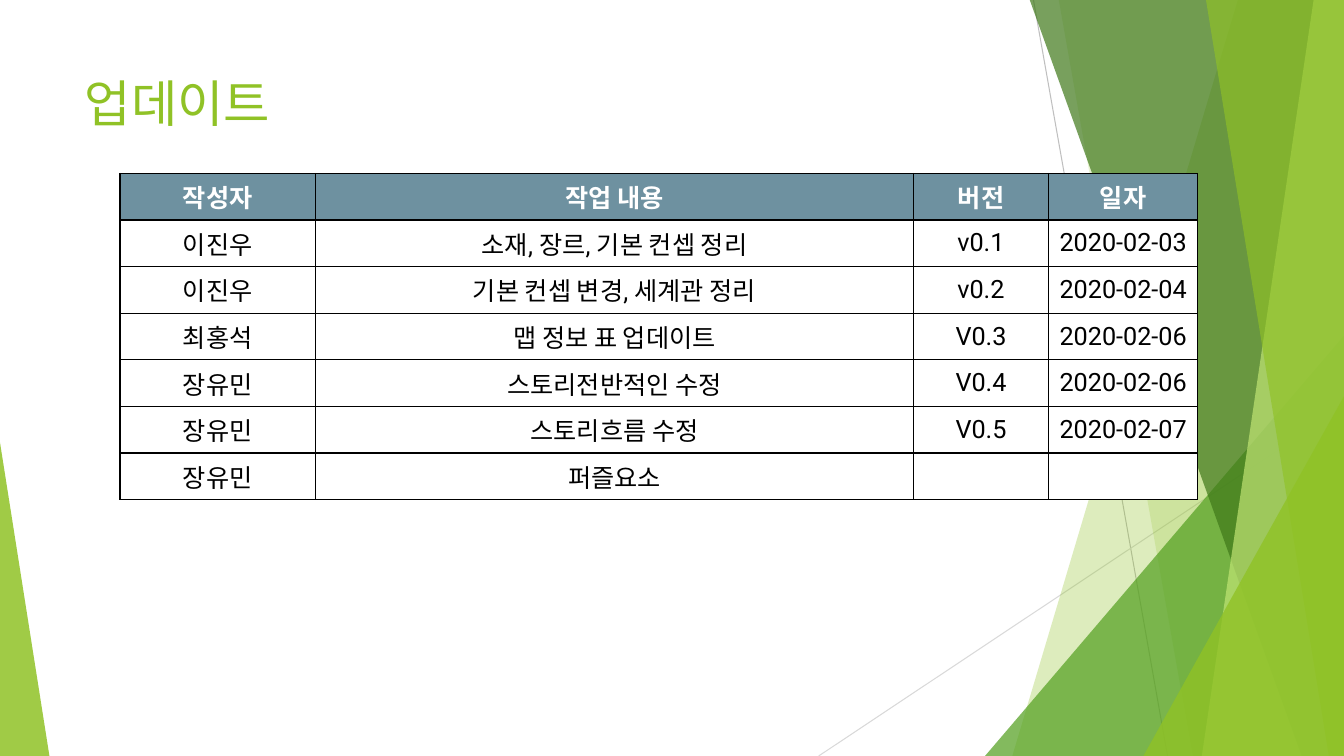
import lxml.etree
import pptx
import pptx.dml.color
import pptx.enum.shapes
import pptx.enum.text
import pptx.oxml.ns
import pptx.util

Inches = pptx.util.Inches
Pt = pptx.util.Pt
RGBColor = pptx.dml.color.RGBColor
qn = pptx.oxml.ns.qn

GREEN = RGBColor(0x90, 0xC2, 0x26)
LEAF = RGBColor(0x54, 0xA0, 0x21)
FOREST = RGBColor(0x3F, 0x78, 0x19)
LIME = RGBColor(0xC0, 0xE4, 0x74)
SLATE = RGBColor(0x6E, 0x91, 0xA0)
SILVER = RGBColor(0xBF, 0xBF, 0xBF)
MIST = RGBColor(0xD9, 0xD9, 0xD9)
WHITE = RGBColor(0xFF, 0xFF, 0xFF)
BLACK = RGBColor(0x00, 0x00, 0x00)

WIDTH = 13.33
HEIGHT = 7.5
TOP = -0.01
TITLE_FORMAT = {"name": "Roboto", "size": Pt(36), "bold": False}
HEADER_FORMAT = {"name": "Roboto", "size": Pt(18), "bold": True}
BODY_FORMAT = {**HEADER_FORMAT, "bold": False}

RAYS = [
    ((10.25, 0), (11.58, HEIGHT), SILVER),
    ((WIDTH, 4.03), (8.12, HEIGHT), MIST),
]
BACK_BANDS = [(12.28, 10.04, GREEN, 30), (10.5, 11.83, GREEN, 20)]
FRONT_BANDS = [
    (10.21, 12.91, FOREST, 70),
    (13.03, 11.92, LIME, 70),
    (11.96, 13.18, GREEN, 65),
]
COLUMN_WIDTHS = [1.94, 5.93, 1.34, 1.48]
ROW_HEIGHT = 0.41
UPDATES = [
    ["작성자", "작업 내용", "버전", "일자"],
    ["이진우", "소재, 장르, 기본 컨셉 정리", "v0.1", "2020-02-03"],
    ["이진우", "기본 컨셉 변경, 세계관 정리", "v0.2", "2020-02-04"],
    ["최홍석", "맵 정보 표 업데이트", "V0.3", "2020-02-06"],
    ["장유민", "스토리전반적인 수정", "V0.4", "2020-02-06"],
    ["장유민", "스토리흐름 수정", "V0.5", "2020-02-07"],
    ["장유민", "퍼즐요소", "", ""],
]


def format_font(font, values, color):
    for name, value in values.items():
        setattr(font, name, value)
    font.color.rgb = color


def paint(shape, color, opacity):
    shape.shadow.inherit = False
    shape.line.fill.background()
    shape.fill.solid()
    shape.fill.fore_color.rgb = color
    color_element = shape.fill._xPr.find(qn("a:solidFill"))[0]
    lxml.etree.SubElement(color_element, qn("a:alpha"), val=str(opacity * 1000))


def add_ray(slide, start, end, color):
    points = [Inches(value) for value in (*start, *end)]
    connector = slide.shapes.add_connector(
        pptx.enum.shapes.MSO_CONNECTOR.STRAIGHT, *points)
    connector.line.color.rgb = color
    connector.line.width = Pt(0.75)
    lxml.etree.SubElement(connector._element.spPr, qn("a:effectLst"))


def add_band(slide, top_left, bottom_left, color, opacity):
    builder = slide.shapes.build_freeform(Inches(top_left), Inches(TOP))
    corners = [(WIDTH, TOP), (WIDTH, HEIGHT), (bottom_left, HEIGHT)]
    builder.add_line_segments([(Inches(x), Inches(y)) for x, y in corners])
    paint(builder.convert_to_shape(), color, opacity)


def add_corner(slide, left, top, right, apex, color, opacity):
    shape = slide.shapes.add_shape(
        pptx.enum.shapes.MSO_SHAPE.ISOSCELES_TRIANGLE, Inches(left), Inches(top),
        Inches(right - left), Inches(HEIGHT - top))
    shape.adjustments[0] = apex
    paint(shape, color, opacity)


def add_decoration(slide):
    for ray in RAYS:
        add_ray(slide, *ray)
    for band in BACK_BANDS:
        add_band(slide, *band)
    add_corner(slide, 9.77, 3.33, WIDTH, 1, LEAF, 72)
    for band in FRONT_BANDS:
        add_band(slide, *band)
    add_corner(slide, 11.34, 3.93, WIDTH, 1, GREEN, 80)
    add_corner(slide, 0, 4.39, 0.49, 0, GREEN, 85)


def set_title(slide, text):
    title = slide.shapes.title
    box = {"left": 0.74, "top": 0.67, "width": 9.4, "height": 1.44}
    for name, value in box.items():
        setattr(title, name, Inches(value))
    title.text_frame.text = text
    title.text_frame.vertical_anchor = pptx.enum.text.MSO_ANCHOR.TOP
    paragraph = title.text_frame.paragraphs[0]
    paragraph.alignment = pptx.enum.text.PP_ALIGN.LEFT
    format_font(paragraph.runs[0].font, TITLE_FORMAT, GREEN)


def add_borders(cell):
    properties = cell._tc.get_or_add_tcPr()
    for position, side in enumerate(("lnL", "lnR", "lnT", "lnB")):
        line = lxml.etree.Element(qn(f"a:{side}"), w=str(Pt(1)))
        fill = lxml.etree.SubElement(line, qn("a:solidFill"))
        lxml.etree.SubElement(fill, qn("a:srgbClr"), val=str(BLACK))
        properties.insert(position, line)


def fill_cell(cell, text, values, text_color, fill_color):
    cell.text = text
    cell.vertical_anchor = pptx.enum.text.MSO_ANCHOR.MIDDLE
    paragraph = cell.text_frame.paragraphs[0]
    paragraph.alignment = pptx.enum.text.PP_ALIGN.CENTER
    format_font(paragraph.font, values, text_color)
    for run in paragraph.runs:
        format_font(run.font, values, text_color)
    cell.fill.solid()
    cell.fill.fore_color.rgb = fill_color
    add_borders(cell)


def add_update_table(slide):
    table = slide.shapes.add_table(
        len(UPDATES), len(COLUMN_WIDTHS), Inches(1.19), Inches(1.72),
        Inches(sum(COLUMN_WIDTHS)), Inches(ROW_HEIGHT * len(UPDATES))).table
    table.horz_banding = False
    for column, width in zip(table.columns, COLUMN_WIDTHS):
        column.width = Inches(width)
    for row_index, texts in enumerate(UPDATES):
        table.rows[row_index].height = Inches(ROW_HEIGHT)
        if row_index == 0:
            style = (HEADER_FORMAT, WHITE, SLATE)
        else:
            style = (BODY_FORMAT, BLACK, WHITE)
        for column_index, text in enumerate(texts):
            fill_cell(table.cell(row_index, column_index), text, *style)


def main():
    presentation = pptx.Presentation()
    presentation.slide_width = Inches(WIDTH)
    presentation.slide_height = Inches(HEIGHT)
    slide = presentation.slides.add_slide(presentation.slide_layouts[5])
    add_decoration(slide)
    set_title(slide, "업데이트")
    add_update_table(slide)
    presentation.save("out.pptx")


if __name__ == "__main__":
    main()
